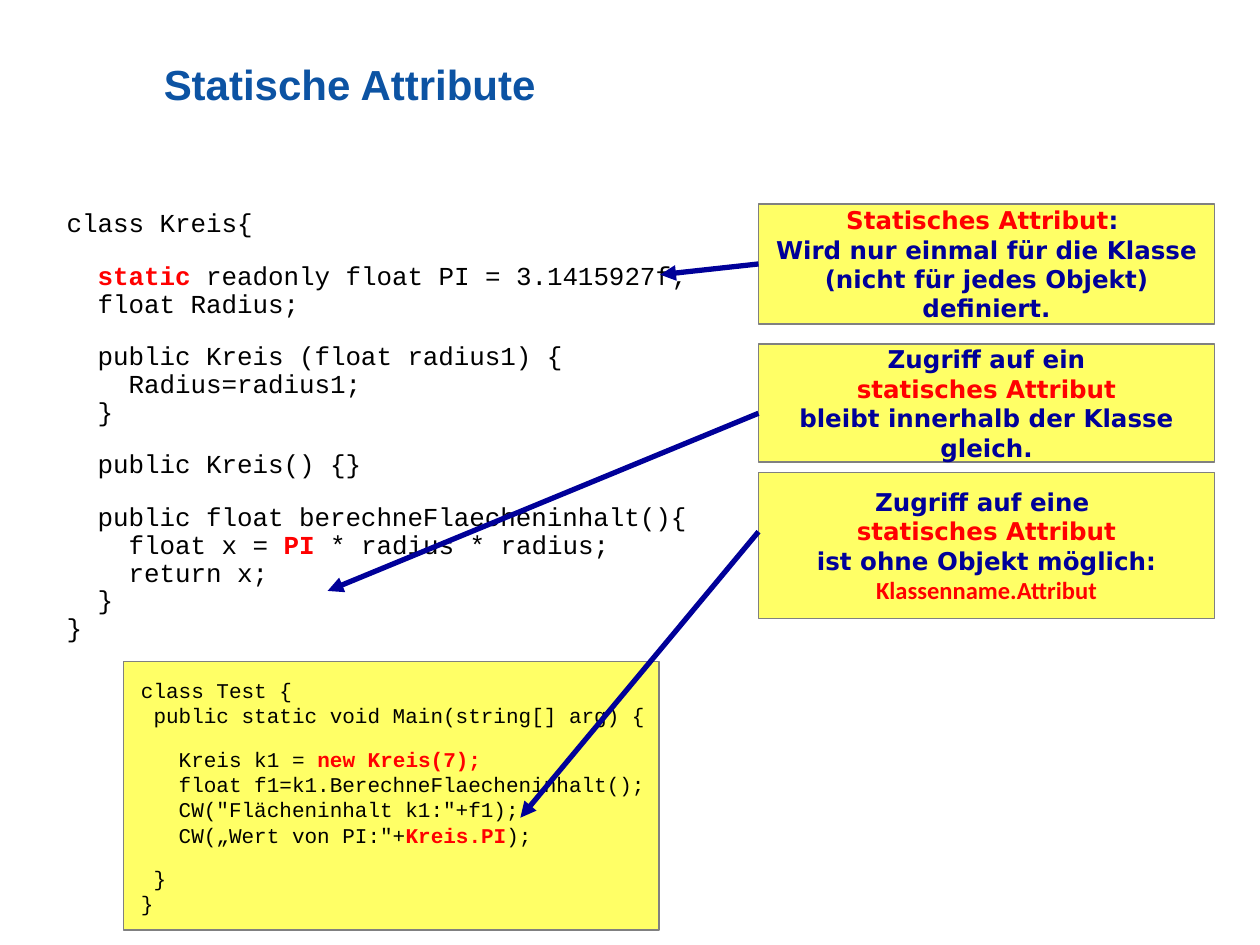
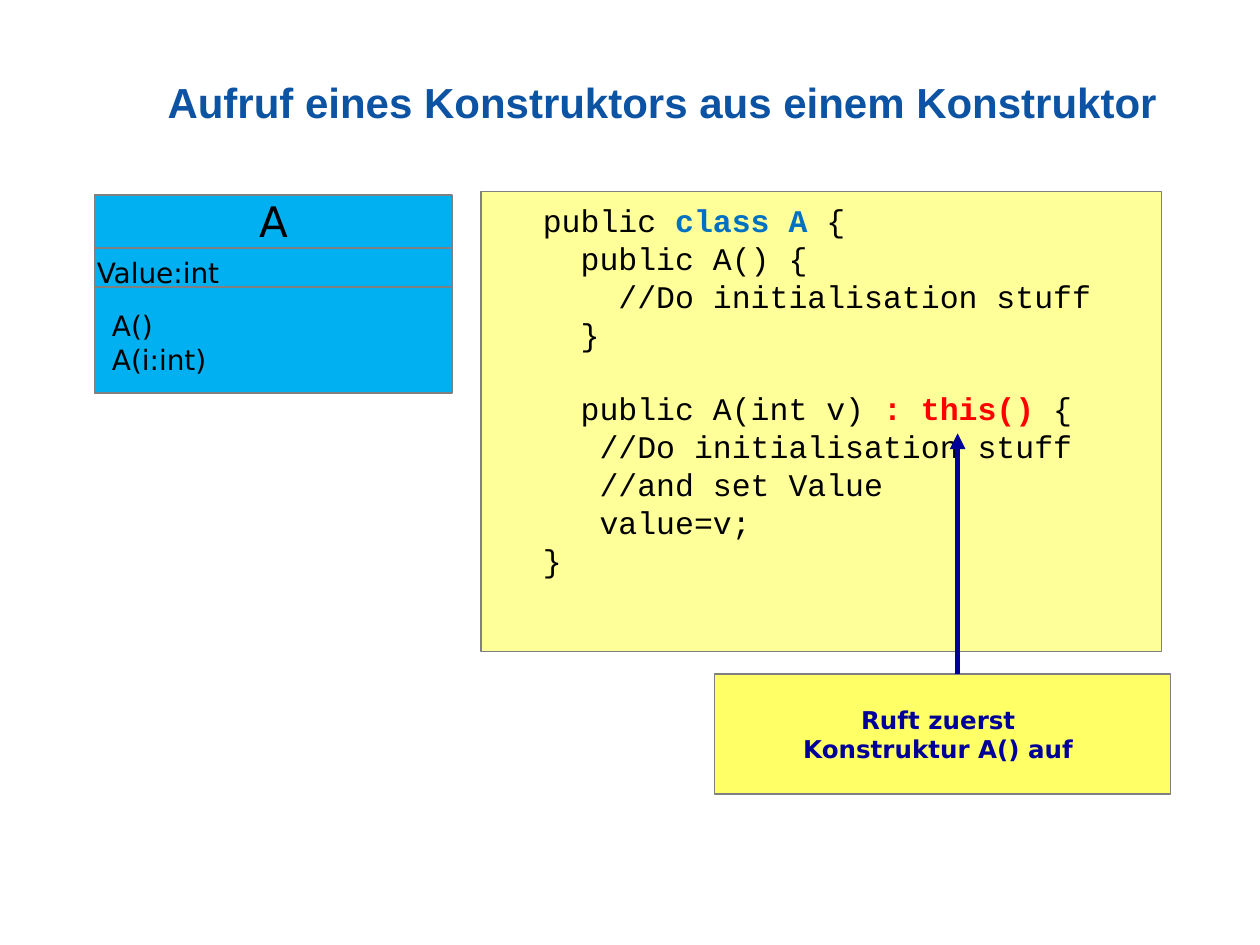
"""Build two slides on static attributes and constructor chaining."""
from copy import deepcopy
from dataclasses import dataclass, field
from typing import Any, NamedTuple

from lxml import etree
from pptx import Presentation
from pptx.dml.color import RGBColor
from pptx.enum.shapes import MSO_CONNECTOR as CONN, MSO_SHAPE as SHAPE
from pptx.enum.text import MSO_ANCHOR as ANCHOR, PP_ALIGN as ALIGN
from pptx.oxml.ns import qn
from pptx.util import Inches, Pt

COLORS = {
    "title": "0C53A3", "black": "000000", "red": "FF0000", "navy": "000099",
    "blue": "0070C0", "gray": "808080", "note": "FFFF66", "code": "FFFF99",
    "uml": "00B0F0",
}
SANS, MONO = "DejaVu Sans", "Courier New"
LEFT, SIDE_LEFT = 0, 1


class Run(NamedTuple):
    """A stretch of text that may differ from the style of its box."""
    text: str
    color: str | None = None
    bold: bool | None = None
    font: str | None = None


class Para(NamedTuple):
    """A paragraph with an optional space before it."""
    runs: tuple[Run, ...]
    before: float | None = None


@dataclass
class TextStyle:
    """Text settings shared by all paragraphs of a box."""
    size: float
    font: str = SANS
    color: str = "black"
    bold: bool = False
    align: Any = ALIGN.LEFT
    before: float = 0
    after: float = 0
    line: float = 1.0
    frame: dict[str, Any] = field(default_factory=dict)


@dataclass
class Box:
    """A rectangle with optional fill and text."""
    at: tuple[float, float, float, float]
    style: TextStyle | None = None
    paras: tuple[Para, ...] = ()
    fill: str | None = None


@dataclass
class Line:
    """A straight line that may carry an arrowhead."""
    start: tuple[float, float]
    end: tuple[float, float]
    color: str = "navy"
    width: float = 3
    arrow: bool = True


TITLE = TextStyle(24, "Arial", "title", True, line=0.95,
                  frame={"vertical_anchor": ANCHOR.MIDDLE, "margin_left": 0,
                         "margin_right": 0, "margin_top": 0, "margin_bottom": 0})
TITLE_HIGH = TextStyle(24, "Arial", "title", True, line=0.95,
                       frame=TITLE.frame | {"margin_bottom": Inches(0.36)})
NOTE = TextStyle(14, SANS, "navy", True, ALIGN.CENTER,
                 frame={"vertical_anchor": ANCHOR.MIDDLE})
CLASS_CODE = TextStyle(14.8, MONO, before=4, after=10, line=0.9)
TEST_CODE = TextStyle(12, MONO, before=3, after=7.5)
CTOR_CODE = TextStyle(18, MONO)
UML_NAME = TextStyle(24, align=ALIGN.CENTER,
                     frame={"margin_top": 0, "word_wrap": False})
UML_MEMBER = TextStyle(16)


def rgb(name: str) -> RGBColor:
    """Look up a colour by name."""
    return RGBColor.from_string(COLORS[name])


def para(*parts: str | Run, before: float | None = None) -> Para:
    """Make a paragraph from plain strings and styled runs."""
    runs = tuple(x if isinstance(x, Run) else Run(x) for x in parts)
    return Para(runs, before)


def red(text: str, font: str | None = None) -> Run:
    """Make a highlighted run."""
    return Run(text, "red", True, font)


def add_run(p: Any, run: Run, style: TextStyle) -> None:
    """Add a run, giving its line breaks the same character format."""
    for i, text in enumerate(run.text.split("\n")):
        if i:
            p.add_line_break()
            br = p._p[-1]
        r = p.add_run()
        r.text = text
        fmt = {"size": Pt(style.size), "name": run.font or style.font,
               "bold": style.bold if run.bold is None else run.bold}
        for key, value in fmt.items():
            setattr(r.font, key, value)
        r.font.color.rgb = rgb(run.color or style.color)
        if i:
            br.append(deepcopy(r._r.rPr))
        if not text:
            p._p.remove(r._r)


def write(tf: Any, paras: tuple[Para, ...], style: TextStyle) -> None:
    """Fill a text frame."""
    frame = {"word_wrap": True, "vertical_anchor": ANCHOR.TOP} | style.frame
    for key, value in frame.items():
        setattr(tf, key, value)
    for i, item in enumerate(paras):
        p = tf.add_paragraph() if i else tf.paragraphs[0]
        before = style.before if item.before is None else item.before
        fmt = {"alignment": style.align, "line_spacing": style.line,
               "space_before": Pt(before if i else 0),
               "space_after": Pt(style.after)}
        for key, value in fmt.items():
            setattr(p, key, value)
        for run in item.runs:
            add_run(p, run, style)


def draw_box(s: Any, box: Box) -> Any:
    """Draw a filled rectangle or a plain text box."""
    at = [Inches(v) for v in box.at]
    if box.fill:
        sp = s.shapes.add_shape(SHAPE.RECTANGLE, *at)
        sp.shadow.inherit = False
        sp.fill.solid()
        sp.fill.fore_color.rgb = rgb(box.fill)
        sp.line.color.rgb = rgb("gray")
        sp.line.width = Pt(1)
    else:
        sp = s.shapes.add_textbox(*at)
    if box.style:
        write(sp.text_frame, box.paras, box.style)
    return sp


def draw_line(s: Any, line: Line) -> Any:
    """Draw a straight line."""
    ends = [Inches(v) for v in line.start + line.end]
    cx = s.shapes.add_connector(CONN.STRAIGHT, *ends)
    cx.line.color.rgb = rgb(line.color)
    cx.line.width = Pt(line.width)
    if line.arrow:
        etree.SubElement(cx.line._get_or_add_ln(), qn("a:tailEnd"), type="triangle")
    etree.SubElement(cx._element.spPr, qn("a:effectLst"))
    return cx


def note(left: float, top: float, height: float, *paras: Para) -> Box:
    """Describe a yellow callout of the common width."""
    return Box((left, top, 3.62, height), NOTE, paras, "note")


def static_attributes(s: Any) -> None:
    """Draw the slide about static attributes."""
    draw_box(s, Box((1.3, 0.36, 8.5, 1), TITLE_HIGH, (para("Statische Attribute"),)))
    draw_box(s, Box((0.43, 1.62, 6.61, 3.94), CLASS_CODE, (
        para("class Kreis{"),
        para("  ", red("static"),
             " readonly float PI = 3.1415927f;\n  float Radius;"),
        para("  public Kreis (float radius1) {\n    Radius=radius1;\n  }"),
        para("  public Kreis() {}"),
        para("  public float berechneFlaecheninhalt(){\n    float x = ",
             red("PI"), " * radius * radius;\n    return x;\n  }\n}"),
    )))
    panel = draw_box(s, Box((0.98, 5.25, 4.25, 2.13), fill="note"))
    code = draw_box(s, Box((1.02, 5.33, 4.41, 2.1), TEST_CODE, (
        para("class Test {\n public static void Main(string[] arg) {"),
        para("   Kreis k1 = ", red("new Kreis(7);\n"),
             "   float f1=k1.BerechneFlaecheninhalt();\n"
             '   CW("Flächeninhalt k1:"+f1);\n   CW(„Wert von PI:"+',
             red("Kreis.PI"), ");"),
        para(" }\n}"),
    )))
    s.shapes.add_group_shape([panel, code])
    definition = draw_box(s, note(
        6.02, 1.62, 0.95,
        para(red("Statisches Attribut"),
             ": \nWird nur einmal für die Klasse (nicht für jedes Objekt) definiert.")))
    draw_box(s, note(
        6.02, 3.75, 1.16, para("Zugriff auf eine "), para(red("statisches Attribut")),
        para("ist ohne Objekt möglich:\n", red("Klassenname.Attribut", "Calibri"))))
    draw_box(s, note(
        6.02, 2.73, 0.94, para("Zugriff auf ein"), para(red("statisches Attribut")),
        para("bleibt innerhalb der Klasse gleich.")))
    to_static = draw_line(s, Line((6.02, 2.1), (5.24, 2.18)))
    to_static.begin_connect(definition, SIDE_LEFT)
    for start, end in (((6.02, 4.22), (4.13, 6.49)), ((6.02, 3.28), (2.6, 4.69))):
        draw_line(s, Line(start, end))


def constructor_call(s: Any) -> None:
    """Draw the slide about calling one constructor from another."""
    draw_box(s, Box((3.82, 1.52, 5.4, 3.65), fill="code"))
    draw_box(s, Box((1.33, 0.33, 8.5, 1), TITLE,
                    (para("Aufruf eines Konstruktors aus einem Konstruktor"),)))
    draw_box(s, Box((4.21, 1.55, 4.88, 4), CTOR_CODE, (
        para("public ", Run("class A", "blue", True), " {"),
        para("  public A() {\n    //Do initialisation stuff"),
        para("  }"),
        para("  public A(int v) ", red(": this() "), "{", before=21),
        para("   //Do initialisation stuff\n   //and set Value"),
        para("   value=v;"),
        para("}"),
    )))
    draw_box(s, Box((0.75, 1.55, 2.84, 1.57), UML_NAME, (para("A"),), "uml"))
    for y in (1.97, 2.28):
        draw_line(s, Line((0.75, y), (3.58, y), "gray", 1, False))
    draw_box(s, Box((0.67, 1.98, 2.52, 0.37), UML_MEMBER, (para("Value:int"),)))
    draw_box(s, Box((0.79, 2.4, 2.28, 0.64), UML_MEMBER,
                    (para("A()"), para("A(i:int)"))))
    draw_box(s, note(5.67, 5.35, 0.95, para("Ruft zuerst "),
                     para("Konstruktur A() auf ")))
    draw_line(s, Line((7.6, 5.35), (7.6, 3.44)))


def main() -> None:
    """Create and save the presentation."""
    prs = Presentation()
    prs.slide_width, prs.slide_height = Inches(10), Inches(7.5)
    for build in (static_attributes, constructor_call):
        build(prs.slides.add_slide(prs.slide_layouts[6]))
    prs.save("out.pptx")


if __name__ == "__main__":
    main()
